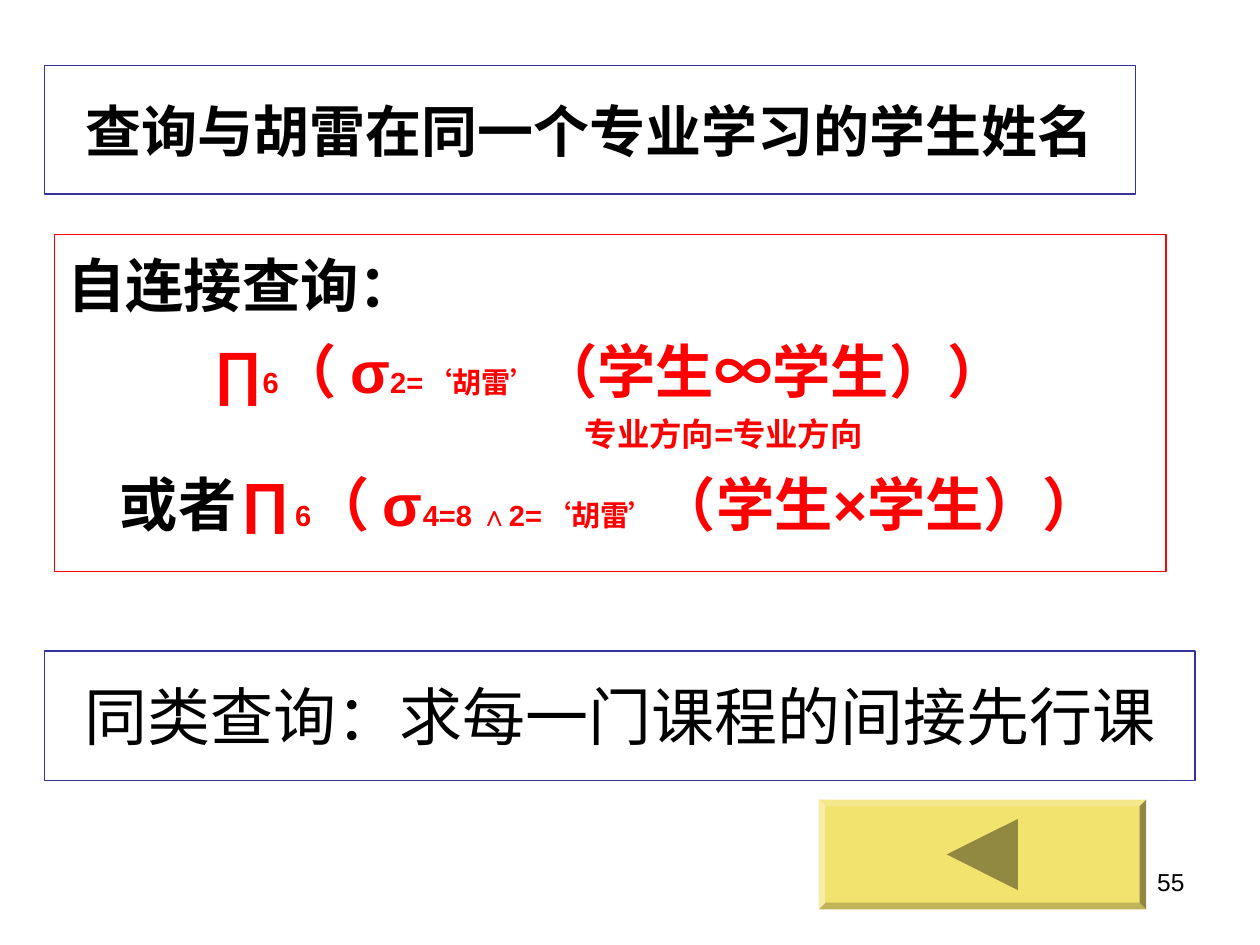
from dataclasses import dataclass

import pptx
import pptx.dml.color
import pptx.enum.shapes
import pptx.enum.text
import pptx.oxml.ns
import pptx.util
from lxml import etree

RGBColor = pptx.dml.color.RGBColor
BLACK = RGBColor(0x00, 0x00, 0x00)
WHITE = RGBColor(0xFF, 0xFF, 0xFF)
RED = RGBColor(0xFF, 0x00, 0x00)
NAVY = RGBColor(0x33, 0x33, 0x99)
YELLOW = RGBColor(0xF2, 0xE2, 0x6E)
OLIVE = RGBColor(0x91, 0x88, 0x42)

FONT = "Arial"
LARGE, SMALL, CONDITION = 33.3, 16.6, 18.5
LEFT, CENTER, RIGHT = (
    pptx.enum.text.PP_ALIGN.LEFT,
    pptx.enum.text.PP_ALIGN.CENTER,
    pptx.enum.text.PP_ALIGN.RIGHT,
)
TOP, MIDDLE = pptx.enum.text.MSO_ANCHOR.TOP, pptx.enum.text.MSO_ANCHOR.MIDDLE
SHAPES = pptx.enum.shapes.MSO_SHAPE


@dataclass(frozen=True)
class Area:
    """A rectangle in percent of the slide's width and height."""
    left: float
    top: float
    width: float
    height: float


@dataclass(frozen=True)
class Piece:
    text: str
    size: float
    color: RGBColor = RED


@dataclass(frozen=True)
class Line:
    pieces: tuple[Piece, ...]
    align: int = CENTER
    space_before: float = 9
    margin: float = 0.38
    indent: float = -0.38


TITLE_AREA = Area(3.54, 6.93, 86.6, 13.6)
BODY_AREA = Area(4.34, 24.8, 88.2, 35.7)
SIMILAR_AREA = Area(3.54, 68.88, 91.3, 13.73)
BUTTON_AREA = Area(64.97, 84.63, 26, 11.6)
NUMBER_AREA = Area(71.7, 91.07, 23.3, 6.93)

BODY_LINES = (
    Line((Piece("自连接查询：", LARGE, BLACK),), LEFT, 0),
    Line((
        Piece("∏", LARGE), Piece("6", SMALL), Piece("（ σ", LARGE),
        Piece("2=‘胡雷’", SMALL), Piece("（学生∞学生））", LARGE),
    )),
    Line((Piece("专业方向=专业方向", CONDITION),), space_before=5, margin=1.8, indent=0),
    Line((
        Piece("或者", LARGE, BLACK), Piece("∏", LARGE), Piece("6", SMALL),
        Piece("（ σ", LARGE), Piece("4=8 ∧2=‘胡雷’", SMALL),
        Piece("（学生×学生））", LARGE),
    )),
)


def place(shape, presentation, area: Area) -> None:
    shape.left = round(presentation.slide_width * area.left / 100)
    shape.top = round(presentation.slide_height * area.top / 100)
    shape.width = round(presentation.slide_width * area.width / 100)
    shape.height = round(presentation.slide_height * area.height / 100)


def outline(shape, color: RGBColor) -> None:
    shape.fill.solid()
    shape.fill.fore_color.rgb = WHITE
    shape.line.color.rgb = color
    shape.line.width = pptx.util.Pt(0.75)


def prepare_frame(shape, anchor, top_inset: float = 0.05):
    frame = shape.text_frame
    frame.auto_size = pptx.enum.text.MSO_AUTO_SIZE.NONE
    frame.word_wrap = True
    frame.vertical_anchor = anchor
    frame.margin_left = frame.margin_right = pptx.util.Inches(0.1)
    frame.margin_top = pptx.util.Inches(top_inset)
    frame.margin_bottom = pptx.util.Inches(0.05)
    return frame


def write(shape, text: str, size: float, align, anchor, bold: bool = False) -> None:
    paragraph = prepare_frame(shape, anchor).paragraphs[0]
    paragraph.text = text
    paragraph.alignment = align
    paragraph.font.name = FONT
    paragraph.font.size = pptx.util.Pt(size)
    paragraph.font.bold = bold
    paragraph.font.color.rgb = BLACK


def write_line(paragraph, line: Line) -> None:
    properties = paragraph._p.get_or_add_pPr()
    properties.set("marL", str(pptx.util.Inches(line.margin)))
    properties.set("indent", str(pptx.util.Inches(line.indent)))
    etree.SubElement(properties, pptx.oxml.ns.qn("a:buNone"))
    paragraph.alignment = line.align
    paragraph.line_spacing = 1.0
    paragraph.space_before = pptx.util.Pt(line.space_before)
    paragraph.font.name = FONT
    paragraph.font.bold = True
    for piece in line.pieces:
        run = paragraph.add_run()
        run.text = piece.text
        run.font.size = pptx.util.Pt(piece.size)
        run.font.color.rgb = piece.color


def fill_plain(shape, color: RGBColor) -> None:
    shape.shadow.inherit = False
    shape.fill.solid()
    shape.fill.fore_color.rgb = color
    shape.line.fill.background()


def add_back_button(slide, presentation) -> None:
    button = slide.shapes.add_shape(SHAPES.BEVEL, 0, 0, 0, 0)
    place(button, presentation, BUTTON_AREA)
    button.adjustments[0] = 0.06
    fill_plain(button, YELLOW)

    # Arrow head centred on the button
    side = round(button.height * 0.65)
    left = button.left + (button.width - side) // 2
    top = button.top + (button.height - side) // 2
    builder = slide.shapes.build_freeform(left, top + side // 2)
    builder.add_line_segments([(left + side, top), (left + side, top + side)])
    fill_plain(builder.convert_to_shape(), OLIVE)


def main() -> None:
    presentation = pptx.Presentation()
    presentation.slide_width = pptx.util.Inches(10)
    presentation.slide_height = pptx.util.Inches(7.5)
    slide = presentation.slides.add_slide(presentation.slide_layouts[1])

    # Question
    title = slide.shapes.title
    place(title, presentation, TITLE_AREA)
    outline(title, NAVY)
    write(title, "查询与胡雷在同一个专业学习的学生姓名", 32, CENTER, MIDDLE, bold=True)

    # Self-join expressions
    body = slide.placeholders[1]
    place(body, presentation, BODY_AREA)
    outline(body, RED)
    frame = prepare_frame(body, TOP, 0.12)
    for index, line in enumerate(BODY_LINES):
        write_line(frame.add_paragraph() if index else frame.paragraphs[0], line)

    # Slide number and back button
    number = slide.shapes.add_textbox(0, 0, 0, 0)
    place(number, presentation, NUMBER_AREA)
    write(number, "55", 14, RIGHT, TOP)
    add_back_button(slide, presentation)

    # Similar query
    similar = slide.shapes.add_shape(SHAPES.RECTANGLE, 0, 0, 0, 0)
    similar.shadow.inherit = False
    place(similar, presentation, SIMILAR_AREA)
    outline(similar, NAVY)
    write(similar, "同类查询：求每一门课程的间接先行课", 36, CENTER, MIDDLE)

    presentation.save("out.pptx")


if __name__ == "__main__":
    main()
